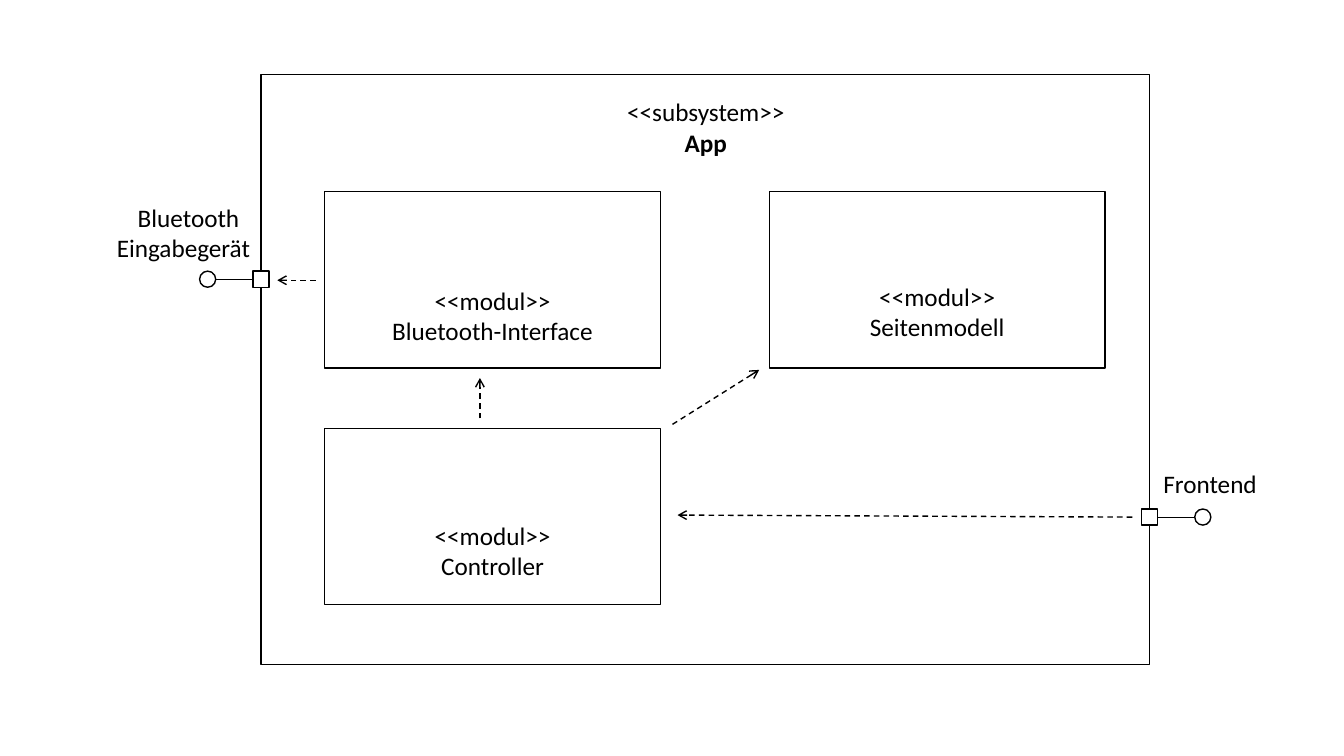
from lxml import etree
from pptx import Presentation
from pptx.dml.color import RGBColor
from pptx.enum import dml, shapes, text
from pptx.oxml.ns import qn
from pptx.util import Inches, Pt

COLORS = {"ink": "000000", "paper": "FFFFFF"}
MODULE_W, MODULE_H = 3.33, 1.75
NODE = 0.16
CENTER, LEFT = text.PP_ALIGN.CENTER, text.PP_ALIGN.LEFT


def rgb(name):
    return RGBColor.from_string(COLORS[name])


def add_outline(slide, x, y, w, h, kind=shapes.MSO_SHAPE.RECTANGLE, fill=None):
    sp = slide.shapes.add_shape(kind, Inches(x), Inches(y), Inches(w), Inches(h))
    sp.shadow.inherit = False
    if fill:
        sp.fill.solid()
        sp.fill.fore_color.rgb = rgb(fill)
    else:
        sp.fill.background()
    sp.line.color.rgb = rgb("ink")
    sp.line.width = Pt(1)
    return sp


def add_label(slide, x, y, w, lines, aligns=(CENTER, CENTER), wrap=True):
    height = 0.71 if len(lines) > 1 else 0.4
    sp = slide.shapes.add_textbox(Inches(x), Inches(y), Inches(w), Inches(height))
    tf = sp.text_frame
    tf.word_wrap = wrap
    tf.auto_size = text.MSO_AUTO_SIZE.SHAPE_TO_FIT_TEXT
    tf.text = "\n".join(lines)
    for p, align in zip(tf.paragraphs, aligns):
        p.alignment = align
        for r in p.runs:
            r.font.name = "Calibri"
            r.font.size = Pt(18)
            r.font.color.rgb = rgb("ink")
    return tf


def add_line(slide, x1, y1, x2, y2, width):
    line = slide.shapes.add_connector(
        shapes.MSO_CONNECTOR.STRAIGHT, Inches(x1), Inches(y1), Inches(x2), Inches(y2))
    line.line.color.rgb = rgb("ink")
    line.line.width = Pt(width)
    etree.SubElement(line._element.spPr, qn("a:effectLst"))
    return line


def add_dependency(slide, x1, y1, x2, y2):
    line = add_line(slide, x1, y1, x2, y2, 1)
    line.line.dash_style = dml.MSO_LINE.DASH
    etree.SubElement(line.line._get_or_add_ln(), qn("a:tailEnd"), type="arrow")


def add_module(slide, x, y, name, label_y):
    add_outline(slide, x, y, MODULE_W, MODULE_H)
    label_w = 2.42
    add_label(slide, x + (MODULE_W - label_w) / 2, label_y, label_w, ["<<modul>>", name])


def add_interface(slide, port_x, circle_x, y):
    port = add_outline(slide, port_x, y, NODE, NODE, fill="paper")
    add_outline(slide, circle_x, y, NODE, NODE, shapes.MSO_SHAPE.OVAL)
    on_left = circle_x < port_x
    circle_edge = circle_x + NODE if on_left else circle_x
    middle = y + NODE / 2
    line = add_line(slide, port_x, middle, circle_edge, middle, 0.5)
    line.begin_connect(port, 1 if on_left else 3)


def main():
    prs = Presentation()
    prs.slide_width, prs.slide_height = Inches(13.33), Inches(7.5)
    slide = prs.slides.add_slide(prs.slide_layouts[6])

    add_outline(slide, 2.59, 0.74, 8.81, 5.85)
    app = add_label(slide, 5.81, 0.91, 2.38, ["<<subsystem>>", "App"])
    app.paragraphs[1].runs[0].font.bold = True

    add_module(slide, 3.22, 1.9, "Bluetooth-Interface", 2.78)
    add_module(slide, 7.63, 1.9, "Seitenmodell", 2.74)
    add_module(slide, 3.22, 4.25, "Controller", 5.11)

    add_dependency(slide, 3.13, 2.78, 2.75, 2.78)
    add_dependency(slide, 4.76, 4.15, 4.76, 3.75)
    add_dependency(slide, 6.67, 4.21, 7.53, 3.67)
    add_dependency(slide, 11.23, 5.13, 6.72, 5.11)

    add_interface(slide, 2.51, 1.98, 2.69)
    add_interface(slide, 11.32, 11.85, 5.05)
    add_label(slide, 1.06, 1.96, 1.62, ["Bluetooth", "Eingabegerät"], (CENTER, LEFT))
    add_label(slide, 11.44, 4.6, 1.14, ["Frontend"], (LEFT,), wrap=False)

    prs.save("out.pptx")


if __name__ == "__main__":
    main()
